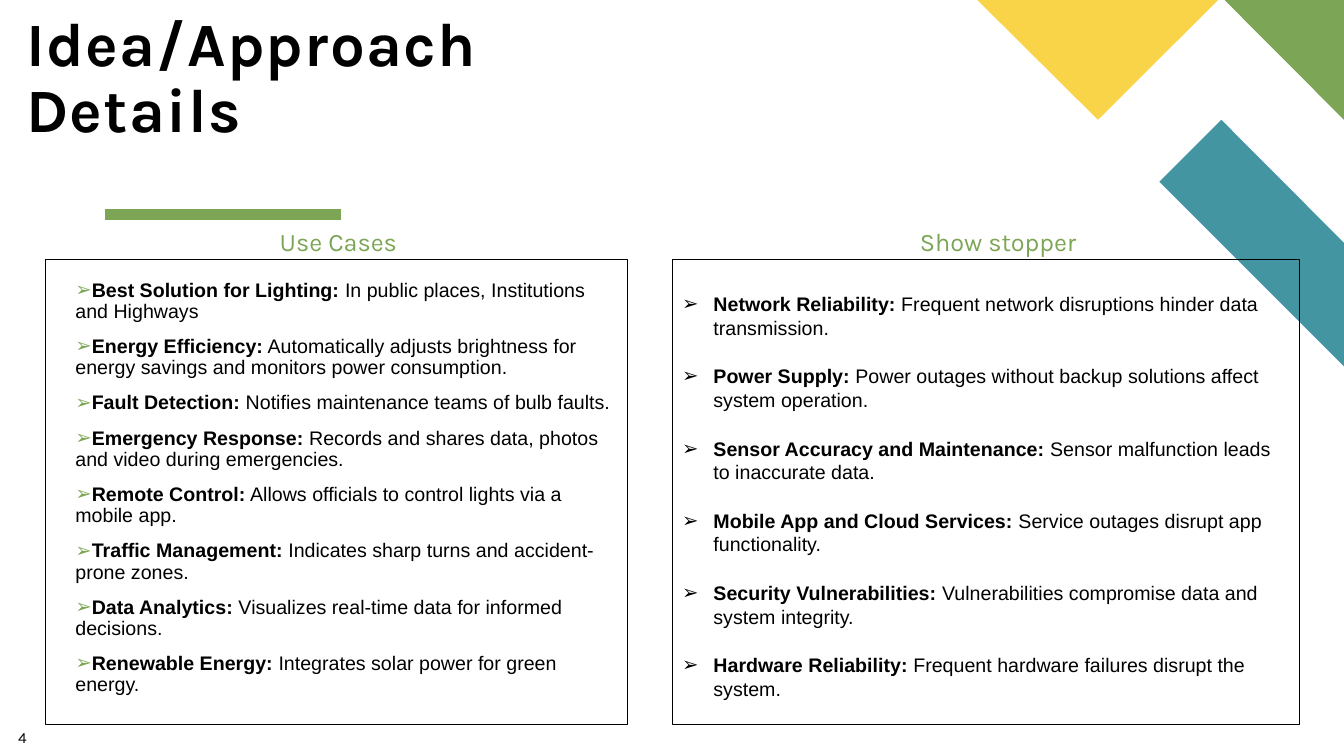
import pptx
import pptx.dml.color
import pptx.enum.shapes
import pptx.enum.text
import pptx.oxml.ns
import pptx.util
from lxml import etree

Cm = pptx.util.Cm
Pt = pptx.util.Pt
ALIGN = pptx.enum.text.PP_ALIGN
ANCHOR = pptx.enum.text.MSO_ANCHOR

COLORS = {"black": "000000", "green": "7CA655", "teal": "4495A2", "yellow": "F9D448"}

USE_CASES = [
    ("Best Solution for Lighting:", "In public places, Institutions and Highways"),
    ("Energy Efficiency:", "Automatically adjusts brightness for energy savings and monitors power consumption."),
    ("Fault Detection:", "Notifies maintenance teams of bulb faults."),
    ("Emergency Response:", "Records and shares data, photos and video during emergencies."),
    ("Remote Control:", "Allows officials to control lights via a mobile app."),
    ("Traffic Management:", "Indicates sharp turns and accident-prone zones."),
    ("Data Analytics:", "Visualizes real-time data for informed decisions."),
    ("Renewable Energy:", "Integrates solar power for green energy."),
]
SHOW_STOPPERS = [
    ("Network Reliability:", "Frequent network disruptions hinder data transmission."),
    ("Power Supply:", "Power outages without backup solutions affect system operation."),
    ("Sensor Accuracy and Maintenance:", "Sensor malfunction leads to inaccurate data."),
    ("Mobile App and Cloud Services:", "Service outages disrupt app functionality."),
    ("Security Vulnerabilities:", "Vulnerabilities compromise data and system integrity."),
    ("Hardware Reliability:", "Frequent hardware failures disrupt the system."),
]


def color(name):
    return pptx.dml.color.RGBColor.from_string(COLORS[name])


def add_text(paragraph, text, *, font="Karla", size=18, fill="black", bold=False, spacing=0):
    run = paragraph.add_run()
    run.text = text
    run.font.name = font
    run.font.size = Pt(size)
    run.font.bold = bold
    run.font.color.rgb = color(fill)
    if spacing:
        run.font._element.set("spc", str(spacing))


def add_bullet(paragraph, fill, left, indent):
    properties = paragraph._p.get_or_add_pPr()
    properties.set("marL", str(Cm(left)))
    properties.set("indent", str(Cm(indent)))
    qn = pptx.oxml.ns.qn
    bullet_color = etree.SubElement(properties, qn("a:buClr"))
    etree.SubElement(bullet_color, qn("a:srgbClr"), val=COLORS[fill])
    etree.SubElement(properties, qn("a:buFont"), typeface="Arial")
    etree.SubElement(properties, qn("a:buChar"), char="➢")


class SlideBuilder:
    def __init__(self, slide):
        self.slide = slide

    def set_frame(self, shape, insets, anchor=ANCHOR.TOP):
        frame = shape.text_frame
        frame.word_wrap = True
        frame.vertical_anchor = anchor
        (frame.margin_left, frame.margin_top,
         frame.margin_right, frame.margin_bottom) = map(Cm, insets)
        return frame

    def line(self, start, end, fill, width):
        connector = self.slide.shapes.add_connector(
            pptx.enum.shapes.MSO_CONNECTOR.STRAIGHT, *map(Cm, start + end))
        connector.line.color.rgb = color(fill)
        connector.line.width = Pt(width)
        etree.SubElement(connector._element.spPr, pptx.oxml.ns.qn("a:effectLst"))

    def polygon(self, points, fill):
        start, *others = [(Cm(x), Cm(y)) for x, y in points]
        builder = self.slide.shapes.build_freeform(*start)
        builder.add_line_segments(others, close=True)
        shape = builder.convert_to_shape()
        shape.shadow.inherit = False
        shape.fill.solid()
        shape.fill.fore_color.rgb = color(fill)
        shape.line.fill.background()

    def label(self, box, text, *, insets=(0, 0, 0, 0), anchor=ANCHOR.TOP,
              align=ALIGN.LEFT, line_spacing=0.9, **text_format):
        shape = self.slide.shapes.add_textbox(*map(Cm, box))
        paragraph = self.set_frame(shape, insets, anchor).paragraphs[0]
        paragraph.alignment = align
        paragraph.line_spacing = line_spacing
        add_text(paragraph, text, **text_format)

    def bullet_panel(self, box, items, *, top, bullet, left, indent, gap, line_spacing):
        shape = self.slide.shapes.add_shape(
            pptx.enum.shapes.MSO_SHAPE.RECTANGLE, *map(Cm, box))
        shape.shadow.inherit = False
        shape.fill.background()
        shape.line.color.rgb = color("black")
        shape.line.width = Pt(0.75)
        frame = self.set_frame(shape, (0.25, top, 0.25, 0.13))
        for index, (term, detail) in enumerate(items):
            paragraph = frame.add_paragraph() if index else frame.paragraphs[0]
            add_bullet(paragraph, bullet, left, indent)
            paragraph.alignment = ALIGN.LEFT
            paragraph.line_spacing = line_spacing
            paragraph.space_before = Pt(gap if index else 0)
            add_text(paragraph, term, font="Arial", size=14, bold=True)
            add_text(paragraph, " " + detail, font="Arial", size=14)


def main():
    presentation = pptx.Presentation()
    presentation.slide_width = Cm(33.87)
    presentation.slide_height = Cm(19.05)
    builder = SlideBuilder(presentation.slides.add_slide(presentation.slide_layouts[6]))

    # Decoration
    builder.line((2.64, 5.4), (8.59, 5.4), "green", 8)
    builder.polygon([(33.87, 9.23), (33.87, 6.12), (30.78, 3.02), (29.22, 4.58)], "teal")
    builder.polygon([(33.87, 3.02), (33.87, 0), (30.86, 0)], "green")
    builder.polygon([(24.63, 0), (27.67, 3.02), (30.7, 0)], "yellow")

    # Title and slide number
    builder.label((0.66, 1.98, 16.05, 1.7), "Idea/Approach Details", size=44, bold=True,
                  insets=(0, 0, 2, 0), anchor=ANCHOR.BOTTOM, spacing=100)
    builder.label((0.46, 18.36, 1.45, 0.69), "4", size=11, line_spacing=1)

    # Use cases
    builder.label((6.65, 5.66, 4.09, 0.89), "Use Cases", fill="green",
                  insets=(0.4, 0.13, 0.25, 0.13))
    builder.bullet_panel((1.14, 6.55, 14.68, 11.71), USE_CASES, top=0.51, bullet="green",
                         left=0.51, indent=0, gap=10, line_spacing=0.9)

    # Show stoppers
    builder.label((22.78, 5.66, 4.75, 0.89), "Show stopper", fill="green", align=ALIGN.CENTER,
                  insets=(0.25, 0.13, 0.25, 0.13))
    builder.bullet_panel((16.94, 6.55, 15.8, 11.71), SHOW_STOPPERS, top=0.81, bullet="black",
                         left=0.79, indent=-0.79, gap=18, line_spacing=1)

    presentation.save("out.pptx")


if __name__ == "__main__":
    main()
